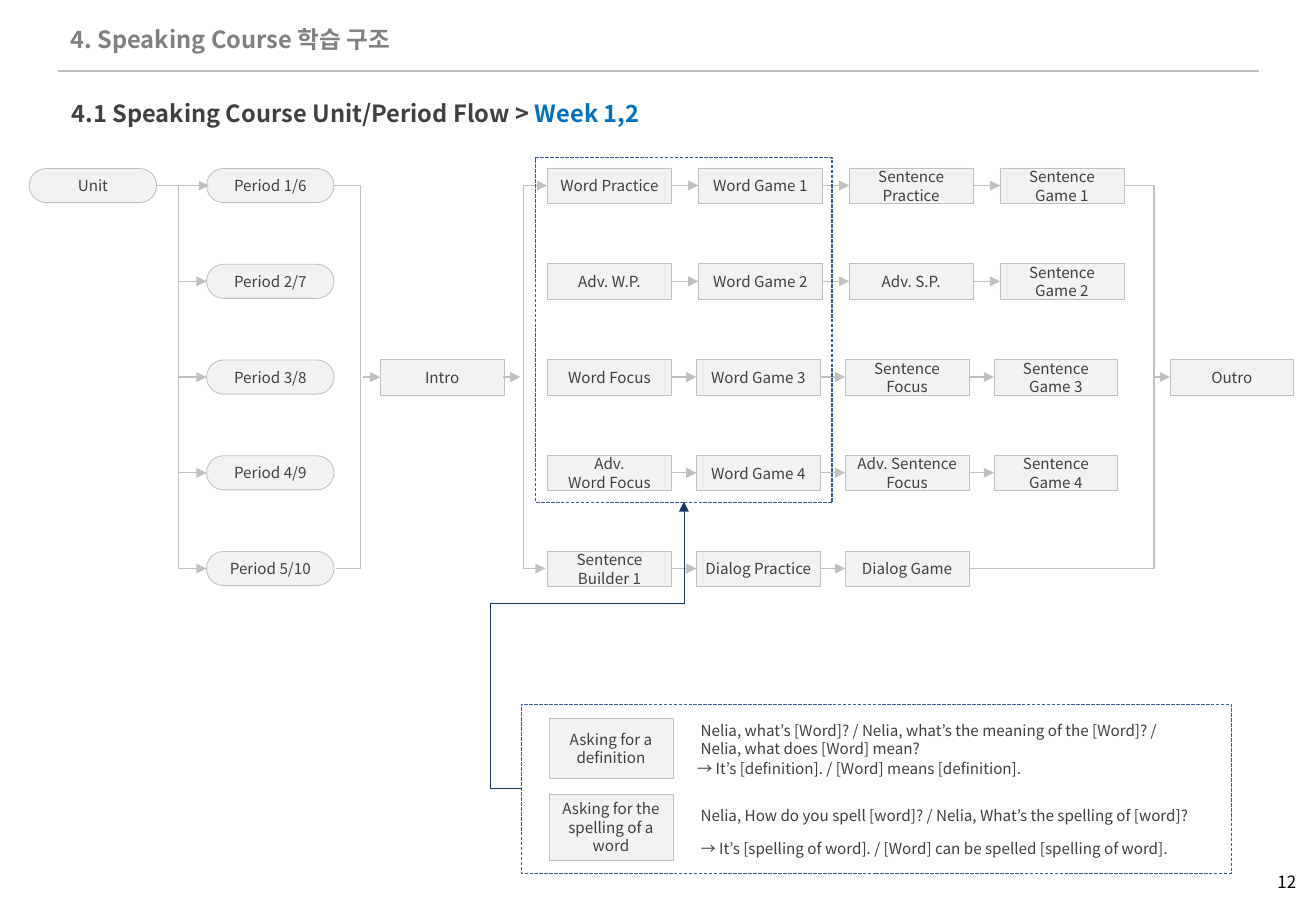
"""Build the unit and period flow slide of a speaking course."""
import pptx
import pptx.util
import pptx.dml.color
import pptx.enum.dml
import pptx.enum.shapes
import pptx.enum.text
import pptx.oxml
import pptx.oxml.ns

Pt = pptx.util.Pt
Shapes = pptx.enum.shapes.MSO_SHAPE
Connectors = pptx.enum.shapes.MSO_CONNECTOR
Align = pptx.enum.text.PP_ALIGN
Anchor = pptx.enum.text.MSO_ANCHOR


def color(value):
    return pptx.dml.color.RGBColor.from_string(value)


def apply(target, values):
    for name, value in values.items():
        setattr(target, name, value)


class FlowSlide:
    font = "Noto Sans CJK KR"
    ink, gray, pale, navy, dash = "404040", "BFBFBF", "F2F2F2", "17375E", "3A5F8C"

    def __init__(self, page):
        self.page = page

    def set_text(self, shape, paragraphs, size=9, bold=False, align=Align.LEFT,
                 spacing=Pt(11), anchor=Anchor.MIDDLE, inset=7.2):
        frame = shape.text_frame
        apply(frame, dict(word_wrap=True, vertical_anchor=anchor,
                          auto_size=pptx.enum.text.MSO_AUTO_SIZE.NONE,
                          margin_left=Pt(inset), margin_right=Pt(inset),
                          margin_top=Pt(3.6), margin_bottom=Pt(3.6)))
        for index, spans in enumerate(paragraphs):
            para = frame.add_paragraph() if index else frame.paragraphs[0]
            apply(para, dict(alignment=align, line_spacing=spacing))
            for text, ink in spans:
                span = para.add_run()
                span.text = text
                apply(span.font, dict(name=self.font, size=Pt(size), bold=bold))
                span.font.color.rgb = color(ink)

    def title(self, text, left, top, width, height):
        title = self.page.shapes.title
        apply(title, dict(left=Pt(left), top=Pt(top), width=Pt(width), height=Pt(height)))
        self.set_text(title, [[(text, "808080")]], 14, True, spacing=1.0)

    def text(self, spans, left, top, width, height, **style):
        box = self.page.shapes.add_textbox(Pt(left), Pt(top), Pt(width), Pt(height))
        self.set_text(box, [spans], **style)

    def box(self, text, left, middle, width=73.4, height=21, kind=Shapes.RECTANGLE, line=0.25):
        box = self.page.shapes.add_shape(
            kind, Pt(left), Pt(middle - height / 2), Pt(width), Pt(height))
        box.shadow.inherit = False
        box.fill.solid()
        box.fill.fore_color.rgb = color(self.pale)
        box.line.color.rgb = color(self.gray)
        box.line.width = Pt(line)
        lines = [[(part, self.ink)] for part in text.split("\n")]
        self.set_text(box, lines, align=Align.CENTER, inset=5)
        return box

    def pill(self, text, left, middle):
        pill = self.box(text, left, middle, 75.6, 20.2, Shapes.ROUNDED_RECTANGLE, 0.5)
        pill.adjustments[0] = 0.5

    def outline(self, left, top, width, height):
        outline = self.page.shapes.add_shape(
            Shapes.RECTANGLE, Pt(left), Pt(top), Pt(width), Pt(height))
        outline.shadow.inherit = False
        outline.fill.background()
        outline.line.color.rgb = color(self.dash)
        apply(outline.line, dict(width=Pt(0.75),
                                 dash_style=pptx.enum.dml.MSO_LINE.SQUARE_DOT))

    def line(self, begin, end, ends=(), ink=gray, width=0.75, kind=Connectors.STRAIGHT):
        line = self.page.shapes.add_connector(kind, *map(Pt, begin + end))
        line.line.color.rgb = color(ink)
        line.line.width = Pt(width)
        properties = line._element.spPr
        for name in ends:
            properties.find(pptx.oxml.ns.qn("a:ln")).append(
                self.element(name, type="triangle"))
        properties.append(self.element("effectLst"))
        return line

    def elbow(self, begin, end, via_x, via_y=None, **style):
        elbow = self.line(begin, end, kind=Connectors.ELBOW, **style)
        ratios = [(via_x - begin[0]) / (end[0] - begin[0])]
        if via_y is not None:
            ratios.append((via_y - begin[1]) / (end[1] - begin[1]))
        geometry = elbow._element.spPr.find(pptx.oxml.ns.qn("a:prstGeom"))
        geometry.set("prst", f"bentConnector{len(ratios) + 2}")
        guides = geometry.find(pptx.oxml.ns.qn("a:avLst"))
        for number, ratio in enumerate(ratios, 1):
            guides.append(self.element("gd", name=f"adj{number}",
                                       fmla=f"val {round(ratio * 100000)}"))

    def element(self, tag, **attributes):
        element = pptx.oxml.parse_xml(f"<a:{tag} {pptx.oxml.ns.nsdecls('a')}/>")
        for name, value in attributes.items():
            element.set(name, value)
        return element


deck = pptx.Presentation()
apply(deck, dict(slide_width=Pt(780), slide_height=Pt(540)))
flow = FlowSlide(deck.slides.add_slide(deck.slide_layouts[5]))

flow.title("4. Speaking Course 학습 구조", 34.6, 10.8, 306, 24.5)
flow.line((34.6, 42), (746, 42), width=1.5)
flow.text([("4.1 Speaking Course Unit/Period Flow > ", flow.ink), ("Week 1,2", "0070C0")],
          35.3, 54.7, 407, 24.5, size=14, bold=True, spacing=1.0)
flow.text([("12", "000000")], 593.3, 513.4, 182, 28.8, size=10,
          align=Align.RIGHT, spacing=1.0, anchor=Anchor.TOP)

rows = [110 + 56.75 * index for index in range(5)]
first, center, last = rows[0], rows[2], rows[-1]
box_width = 73.4
tail, both = ("tailEnd",), ("headEnd", "tailEnd")

flow.pill("Unit", 17.3, first)
flow.line((92.9, first), (105.8, first))
for index, middle in enumerate(rows, 1):
    flow.pill(f"Period {index}/{index + 5}", 122.4, middle)
for middle in rows[1:-1]:
    flow.line((105.8, middle), (122.4, middle), tail)
flow.elbow((123.8, first), (122.4, last), 105.8, ends=both)
flow.elbow((198, first), (199, last), 213.8)

flow.box("Intro", 225.4, center)
flow.box("Outro", 693.4, center)
for start, end in ((215.3, 225.4), (298.4, 308.4), (683.4, 693.4)):
    flow.line((start, center), (end, center), tail)

activities = [
    ("Word Practice", "Word Game 1", "Sentence Practice", "Sentence Game 1"),
    ("Adv. W.P.", "Word Game 2", "Adv. S.P.", "Sentence Game 2"),
    ("Word Focus", "Word Game 3", "Sentence Focus", "Sentence Game 3"),
    ("Adv.\nWord Focus", "Word Game 4", "Adv. Sentence Focus", "Sentence Game 4"),
    ("Sentence Builder 1", "Dialog Practice", "Dialog Game"),
]
for index, (middle, names) in enumerate(zip(rows, activities)):
    pitch = 89.4 if index < 2 else 88.2
    lefts = [324.5 + pitch * column for column in range(len(names))]
    for name, left in zip(names, lefts):
        flow.box(name, left, middle)
    for left, following in zip(lefts, lefts[1:]):
        flow.line((left + box_width, middle), (following, middle), tail)

flow.elbow((324.3, first), (323.3, last), 310.3, ends=both)
flow.elbow((666, first), (574.3, last), 684)

flow.outline(308.9, 417.6, 421.2, 100)
flow.outline(317.5, 93.6, 175.7, 204.2)
flow.elbow((308.9, 467.3), (405.4, 297.4), 290.9, 357.8, ends=tail, ink=flow.navy, width=0.25)

flow.box("Asking for a definition", 325.4, 443.5, height=36)
flow.box("Asking for the spelling of a word", 325.4, 490.3, height=38.9)
phrases = [
    ("Nelia, what’s [Word]? / Nelia, what’s the meaning of the [Word]? / "
     "Nelia, what does [Word] mean?", 408.2, 427.7, 306),
    ("→ It’s [definition]. / [Word] means [definition].", 406.1, 445, 306),
    ("Nelia, How do you spell [word]? / Nelia, What’s the spelling of [word]?",
     408.2, 473, 322),
    ("→ It’s [spelling of word]. / [Word] can be spelled [spelling of word].",
     408.2, 492.5, 306),
]
for phrase, left, top, width in phrases:
    flow.text([(phrase, flow.ink)], left, top, width, 20.9)

deck.save("out.pptx")
